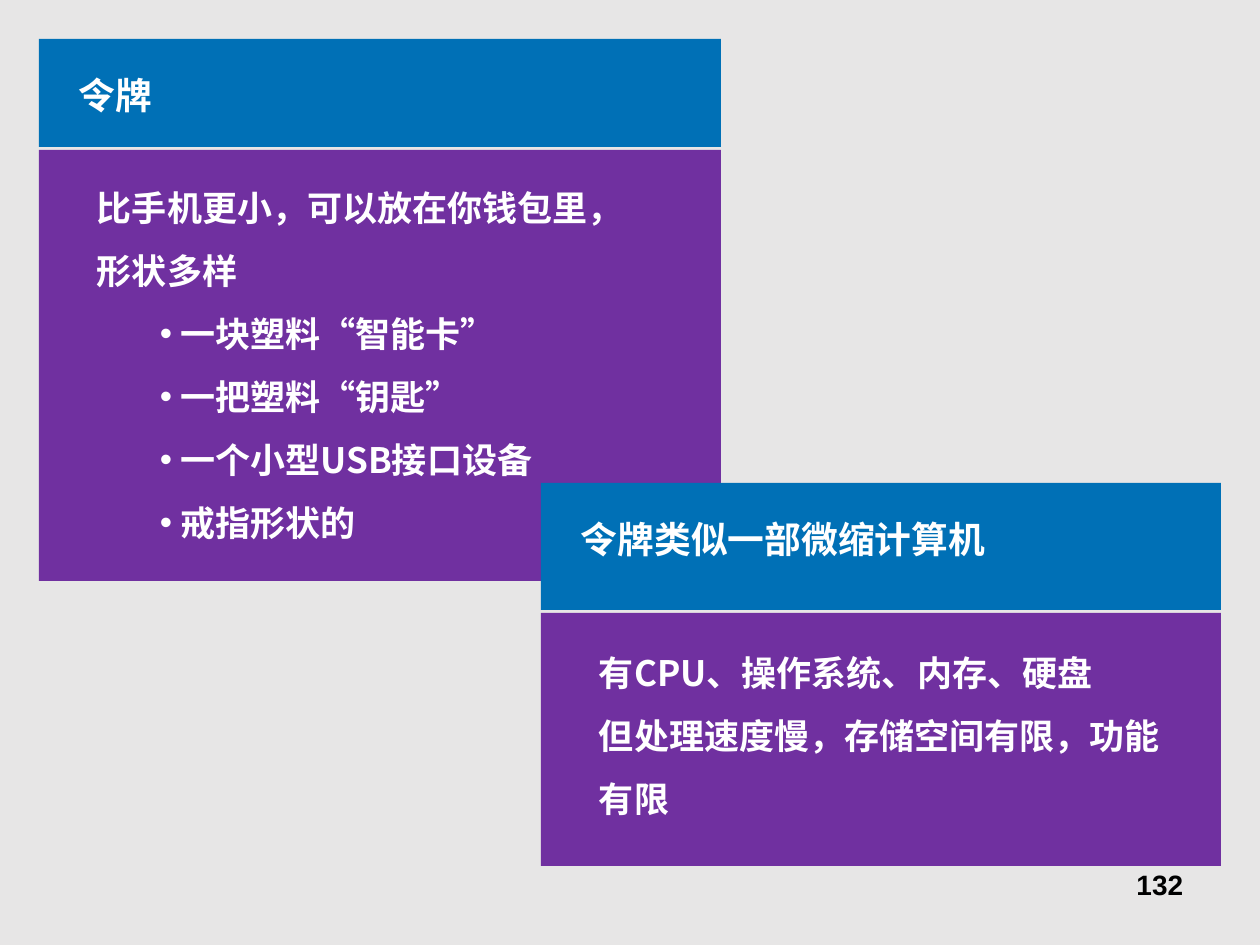
from pptx import Presentation
from pptx.dml.color import RGBColor
from pptx.enum.shapes import MSO_SHAPE as Shape
from pptx.enum.text import MSO_ANCHOR as Anchor, PP_ALIGN as Align
from pptx.oxml.ns import qn
from pptx.util import Pt
from lxml.etree import SubElement

EMU_PER_PX = 914400 / 126
CJK = "Noto Sans CJK SC"
BLUE, PURPLE, WHITE, BLACK, GREY = "0070B6", "7030A0", "FFFFFF", "000000", "E7E6E6"


def px(length):
    return round(length * EMU_PER_PX)


def color(hex_string):
    return RGBColor.from_string(hex_string)


def add_bullet(paragraph, margin, indent):
    properties = paragraph._p.get_or_add_pPr()
    properties.set("marL", str(px(margin)))
    properties.set("indent", str(px(indent)))
    bullet_color = SubElement(properties, qn("a:buClr"))
    SubElement(bullet_color, qn("a:srgbClr"), val=WHITE)
    SubElement(properties, qn("a:buFont"), typeface="Arial")
    SubElement(properties, qn("a:buChar"), char="•")


def write(paragraph, text, size=20, font=CJK, fill=WHITE, bold=True,
          align=Align.LEFT, spacing=1.5, bullet=False):
    paragraph.alignment = align
    paragraph.line_spacing = spacing
    if bullet:
        paragraph.level = 1
        add_bullet(paragraph, margin=53, indent=10)
    run = paragraph.add_run()
    run.text = text
    run.font.size, run.font.bold, run.font.name = Pt(size), bold, font
    run.font.color.rgb = color(fill)
    SubElement(run._r.get_or_add_rPr(), qn("a:ea"), typeface=font)


class SlideBuilder:
    def __init__(self, slide):
        self.slide = slide
        self.target = slide.shapes

    def background(self, fill):
        self.slide.background.fill.solid()
        self.slide.background.fill.fore_color.rgb = color(fill)

    def block(self, box, fill):
        shape = self.target.add_shape(Shape.RECTANGLE, *map(px, box))
        shape.shadow.inherit = False
        shape.fill.solid()
        shape.fill.fore_color.rgb = color(fill)
        shape.line.fill.background()

    def text(self, box, lines, insets=(13, 6), **style):
        """Each line is a text and whether it has a bullet."""
        frame = self.target.add_textbox(*map(px, box)).text_frame
        frame.word_wrap = True
        frame.vertical_anchor = Anchor.TOP
        frame.margin_left = frame.margin_right = px(insets[0])
        frame.margin_top = frame.margin_bottom = px(insets[1])
        for index, (text, bullet) in enumerate(lines):
            paragraph = frame.add_paragraph() if index else frame.paragraphs[0]
            write(paragraph, text, bullet=bullet, **style)

    def card(self, left, top, width, header, body, title, lines, text_box):
        """A blue header over a purple body, with a narrow gap between."""
        self.target = self.slide.shapes.add_group_shape().shapes
        body_top = top + header + 3
        self.block((left, body_top, width, body), PURPLE)
        self.text(text_box, lines)
        self.block((left, top, width, header), BLUE)
        self.text((left + 27, top + 6, width - 54, 79), [(title, False)], size=21)
        self.target = self.slide.shapes


def main():
    presentation = Presentation()
    presentation.slide_width, presentation.slide_height = px(1260), px(945)
    slide = presentation.slides.add_slide(presentation.slide_layouts[6])
    builder = SlideBuilder(slide)
    builder.background(GREY)

    # Page number
    builder.text((903, 861, 294, 66), [("132", False)], insets=(14, 7), size=16,
                 font="Arial", fill=BLACK, align=Align.RIGHT, spacing=1.0)

    # What a token is
    builder.card(39, 39, 682, header=108, body=431, title="令牌", lines=[
        ("比手机更小，可以放在你钱包里，形状多样", False),
        (" 一块塑料“智能卡”", True),
        (" 一把塑料“钥匙”", True),
        (" 一个小型USB接口设备", True),
        (" 戒指形状的", True),
    ], text_box=(84, 160, 557, 391))

    # How a token resembles a computer
    builder.card(541, 483, 680, header=127, body=253, title="令牌类似一部微缩计算机", lines=[
        ("有CPU、操作系统、内存、硬盘", False),
        ("但处理速度慢，存储空间有限，功能有限", False),
    ], text_box=(586, 625, 610, 202))

    presentation.save("out.pptx")


if __name__ == "__main__":
    main()
